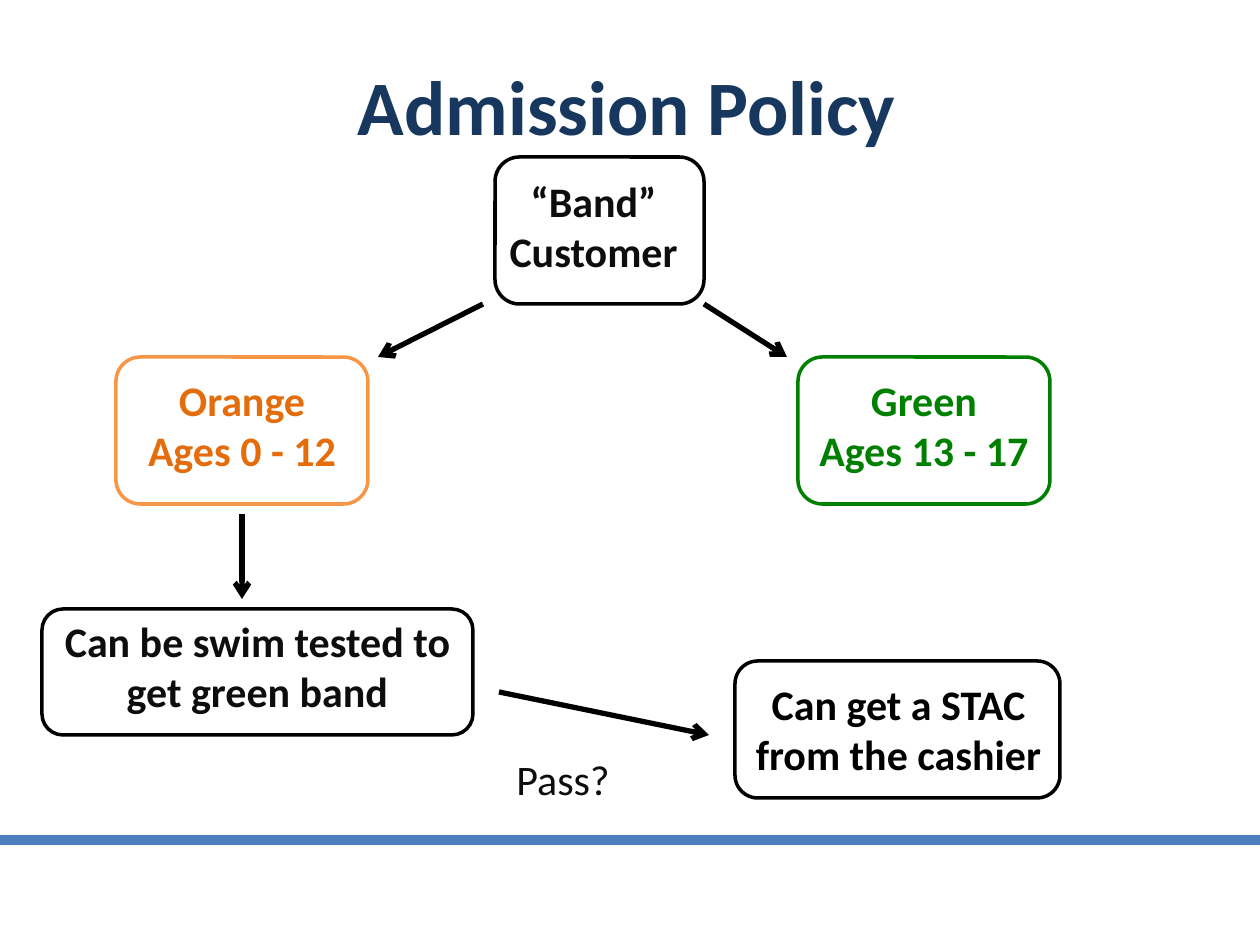
from lxml import etree
from pptx import Presentation
from pptx import util as u
from pptx.dml.color import RGBColor
from pptx.enum import shapes, text
from pptx.oxml.ns import qn

PX = 914400 / 126  # EMU per px
BLACK, INK, WHITE = "000000", "0D0D0D", "FFFFFF"
GREEN = "008000"

# Content: places are left, top, width, height in px
TITLE = ("Admission Policy", (63, 32, 1128, 145))
STEPS = [  # lines, outline box, text box, outline, fill, text colour
    (["“Band” Customer"], (495, 157, 209, 147), (483, 169, 221, 123), BLACK, WHITE, INK),
    (["Green", "Ages 13 - 17"], (798, 357, 252, 147), (777, 368, 294, 115), GREEN, WHITE, GREEN),
    (["Can be swim tested to get green band"], (42, 609, 431, 126), (32, 609, 451, 115),
     BLACK, WHITE, INK),
    (["Orange", "Ages 0 - 12"], (116, 357, 252, 147), (95, 368, 294, 115),
     "F79646", WHITE, "E46C0A"),
    (["Can get a STAC from the cashier"], (735, 661, 325, 137), (725, 672, 347, 115),
     BLACK, None, BLACK),
]
PASS_LABEL = ("Pass?", (504, 747, 147, 63))
ARROWS = [(483, 304, 378, 357), (704, 304, 787, 357),
          (499, 692, 709, 735), (242, 514, 242, 599)]
FOOTER_RULE = (0, 840, 1260, 840)


def emu(lengths):
    return [round(length * PX) for length in lengths]


def rgb(value):
    return RGBColor.from_string(value)


def write(frame, lines, size, color, bold=True, align=text.PP_ALIGN.CENTER):
    frame.word_wrap = True
    for i, line in enumerate(lines):
        paragraph = frame.add_paragraph() if i else frame.paragraphs[0]
        paragraph.alignment = align
        run = paragraph.add_run()
        run.text = line
        font_format = {"name": "Calibri", "size": u.Pt(size), "bold": bold}
        for key, value in font_format.items():
            setattr(run.font, key, value)
        run.font.color.rgb = rgb(color)


def add_step(slide, lines, box, text_box, outline, fill, color):
    group = slide.shapes.add_group_shape().shapes
    frame = group.add_shape(shapes.MSO_SHAPE.ROUNDED_RECTANGLE, *emu(box))
    frame.shadow.inherit = False
    if fill:
        frame.fill.solid()
        frame.fill.fore_color.rgb = rgb(fill)
    else:
        frame.fill.background()
    frame.line.color.rgb = rgb(outline)
    frame.line.width = u.Pt(2)
    write(group.add_textbox(*emu(text_box)).text_frame, lines, 24, color)


def add_line(slide, ends, color, width, arrow=False):
    line = slide.shapes.add_connector(shapes.MSO_CONNECTOR.STRAIGHT, *emu(ends))
    line.line.color.rgb = rgb(color)
    line.line.width = u.Pt(width)
    if arrow:
        etree.SubElement(line.line._get_or_add_ln(), qn("a:tailEnd"), type="arrow")
    etree.SubElement(line._element.spPr, qn("a:effectLst"))


def main():
    prs = Presentation()
    prs.slide_width, prs.slide_height = u.Inches(10), u.Inches(7.5)
    slide = prs.slides.add_slide(prs.slide_layouts[5])

    # Title
    heading, place = TITLE
    title = slide.shapes.title
    title.left, title.top, title.width, title.height = emu(place)
    title.text_frame.vertical_anchor = text.MSO_ANCHOR.MIDDLE
    write(title.text_frame, [heading], 44, "17375E")

    # Flow chart
    for step in STEPS:
        add_step(slide, *step)
    for ends in ARROWS:
        add_line(slide, ends, BLACK, 3, arrow=True)
    label, place = PASS_LABEL
    write(slide.shapes.add_textbox(*emu(place)).text_frame, [label], 24, INK,
          bold=False, align=text.PP_ALIGN.LEFT)

    # Footer rule
    add_line(slide, FOOTER_RULE, "4B7EBC", 5.25)
    prs.save("out.pptx")


if __name__ == "__main__":
    main()
